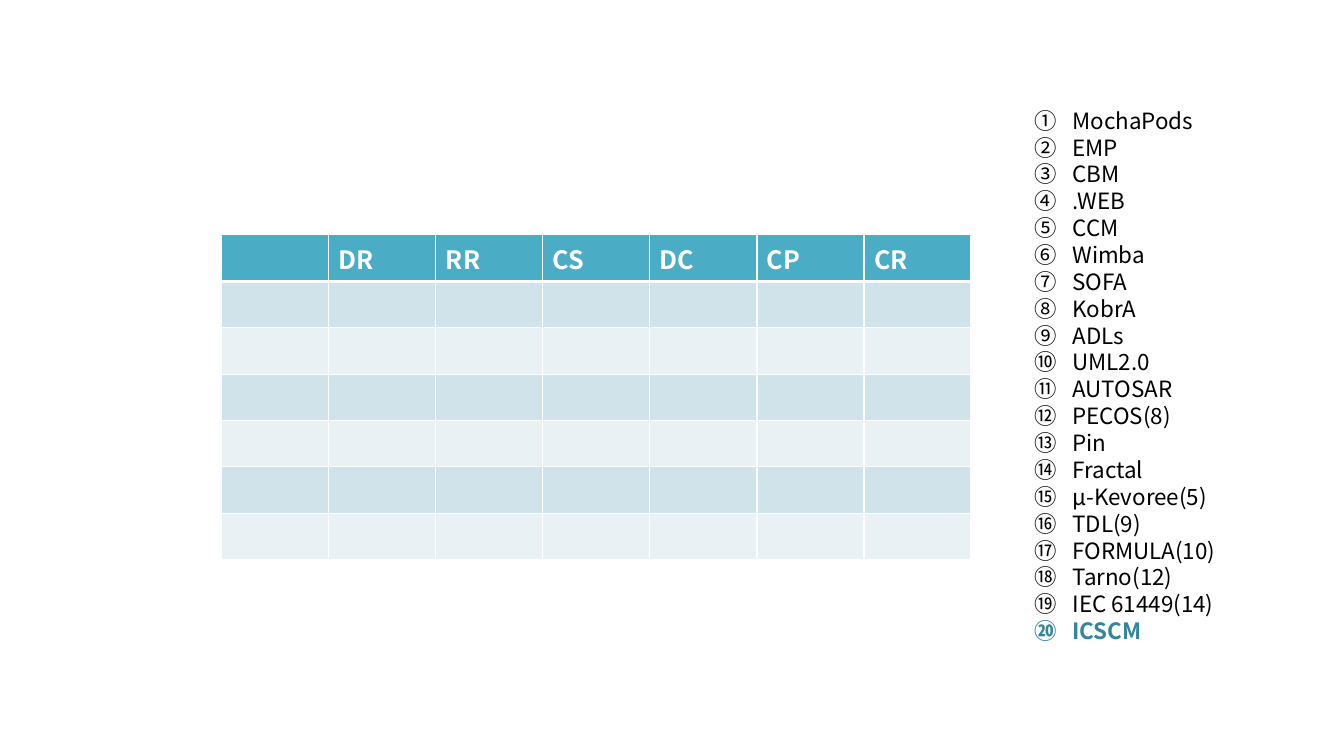
import pptx
import pptx.dml.color
import pptx.enum.text
import pptx.util
from pptx.util import Inches

FONT = "Noto Sans CJK SC"
HEADINGS = ["", "DR", "RR", "CS", "DC", "CP", "CR"]
BODY_ROWS = 6
MODELS = [
    "MochaPods", "EMP", "CBM", ".WEB", "CCM", "Wimba", "SOFA", "KobrA",
    "ADLs", "UML2.0", "AUTOSAR", "PECOS(8)", "Pin", "Fractal",
    "µ-Kevoree(5)", "TDL(9)", "FORMULA(10)", "Tarno(12)",
    "IEC 61449(14)", "ICSCM",
]
NS = 'xmlns:a="http://schemas.openxmlformats.org/drawingml/2006/main"'


def rgb(value):
    """Return the colour for a hex string."""
    return pptx.dml.color.RGBColor.from_string(value)


def style(p, size, color, bold=False):
    """Set the font of a whole paragraph."""
    p.font.name = FONT
    p.font.size = pptx.util.Pt(size)
    p.font.bold = bold
    p.font.color.rgb = rgb(color)


def border(cell, side, width, color):
    """Draw one side of a cell, before its fill."""
    line = pptx.oxml.parse_xml(
        f'<a:ln{side} {NS} w="{pptx.util.Pt(width)}"><a:solidFill>'
        f'<a:srgbClr val="{color}"/></a:solidFill></a:ln{side}>')
    tcPr = cell._tc.get_or_add_tcPr()
    tcPr.insert(len(tcPr) - 1, line)


def add_criteria_table(s, left, top, width, row_height):
    """Add the banded table with one column for each criterion."""
    rows = BODY_ROWS + 1
    frame = s.shapes.add_table(rows, len(HEADINGS), left, top,
                               width, row_height * rows)
    table = frame.table
    for i in range(rows):
        fill = "4BACC6" if i == 0 else ("E9F1F5", "D0E3EA")[i % 2]
        for j, heading in enumerate(HEADINGS):
            cell = table.cell(i, j)
            cell.fill.solid()
            cell.fill.fore_color.rgb = rgb(fill)
            for side in "LRTB":
                thick = (i, side) in ((0, "B"), (1, "T"))
                border(cell, side, 3 if thick else 1, "FFFFFF")
            if i == 0 and heading:
                p = cell.text_frame.paragraphs[0]
                p.text = heading
                style(p, 18, "FFFFFF", True)


def number(p):
    """Give a paragraph a circled number and a hanging indent."""
    pPr = p._p.get_or_add_pPr()
    pPr.set("marL", str(Inches(0.38)))
    pPr.set("indent", str(-Inches(0.38)))
    bullet = pptx.oxml.parse_xml(
        f'<a:buAutoNum {NS} type="circleNumDbPlain"/>')
    pPr.insert_element_before(bullet, "a:tabLst", "a:defRPr", "a:extLst")


def add_numbered_list(s, items, left, top, width, height):
    """Add a numbered list whose last item is highlighted."""
    tf = s.shapes.add_textbox(left, top, width, height).text_frame
    tf.word_wrap = True
    tf.auto_size = pptx.enum.text.MSO_AUTO_SIZE.SHAPE_TO_FIT_TEXT
    for i, item in enumerate(items):
        p = tf.add_paragraph() if i else tf.paragraphs[0]
        p.text = item
        p.line_spacing = pptx.util.Pt(19.2)
        last = i == len(items) - 1
        style(p, 16, "31859C" if last else "000000", last)
        number(p)


def main():
    """Build the slide and save it."""
    prs = pptx.Presentation()
    prs.slide_width = Inches(13.33)
    prs.slide_height = Inches(7.5)
    s = prs.slides.add_slide(prs.slide_layouts[6])
    add_criteria_table(s, Inches(2.2), Inches(2.33), Inches(7.43), Inches(0.46))
    add_numbered_list(s, MODELS, Inches(10.16), Inches(1.01),
                      Inches(2.34), Inches(5.49))
    prs.save("out.pptx")


if __name__ == "__main__":
    main()
